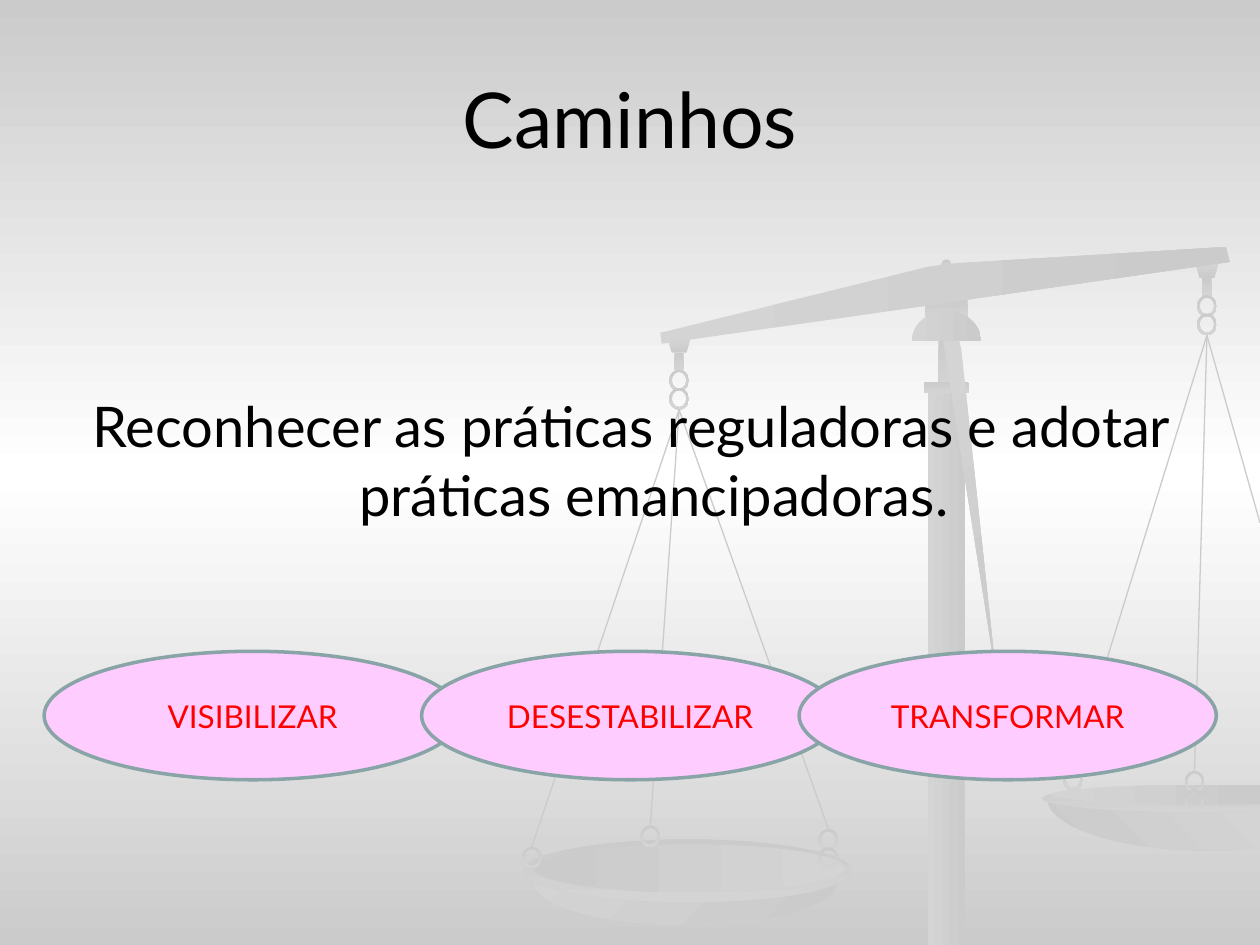
from copy import deepcopy
from math import cos, pi, sin

from lxml.etree import SubElement
from pptx import Presentation
from pptx.dml.color import RGBColor
from pptx.enum.shapes import MSO_CONNECTOR, MSO_SHAPE
from pptx.enum.text import MSO_ANCHOR, PP_ALIGN
from pptx.oxml.ns import qn
from pptx.util import Cm, Pt

BLACK = RGBColor(0x00, 0x00, 0x00)
WHITE = RGBColor(0xFF, 0xFF, 0xFF)
RED = RGBColor(0xFF, 0x00, 0x00)
PINK = RGBColor(0xFF, 0xCC, 0xFF)
SLATE = RGBColor(0x89, 0xA4, 0xA7)
DARK = RGBColor(0xCB, 0xCB, 0xCB)
LIGHT = RGBColor(0xD4, 0xD4, 0xD4)
FALLING = (DARK, LIGHT)
RISING = (LIGHT, DARK)

FONT = "Lato"
PAGE_WIDTH = 25.4
PAGE_HEIGHT = 19.05
POLE_X = 19.08
RING_WIDTH = 0.4
RING_HEIGHT = 0.44
RING_STEP = 0.37


def set_gradient(fill, colors, angle):
    """Fill with two colours, at an angle measured clockwise."""
    fill.gradient()
    fill.gradient_angle = (360 - angle) % 360
    for position, (stop, color) in enumerate(zip(fill.gradient_stops, colors)):
        stop.position = position
        stop.color.rgb = color


def paint_background(slide):
    """Shade the page from grey to white and back to grey."""
    fill = slide.background.fill
    set_gradient(fill, (DARK, WHITE), 90)
    stops = slide.element.find(".//" + qn("a:gsLst"))
    stops.append(deepcopy(stops[0]))
    for stop, position in zip(fill.gradient_stops, (0, 0.5, 1)):
        stop.position = position


def finish_metal(shape, colors, angle):
    """Give a part of the scales its shading, without line or shadow."""
    set_gradient(shape.fill, colors, angle)
    shape.line.fill.background()
    shape.shadow.inherit = False


def add_part(slide, kind, center, top, width, height, colors=FALLING, angle=90):
    """Add a preset shape centred on a vertical axis, in centimetres."""
    shape = slide.shapes.add_shape(
        kind, Cm(center - width / 2), Cm(top), Cm(width), Cm(height))
    finish_metal(shape, colors, angle)
    return shape


def add_outline(slide, points, colors=RISING, angle=0):
    """Add a closed outline through points in centimetres."""
    corners = [(Cm(x), Cm(y)) for x, y in points]
    builder = slide.shapes.build_freeform(*corners[0])
    builder.add_line_segments(corners[1:], close=True)
    finish_metal(builder.convert_to_shape(), colors, angle)


def trace_arc(center, radii, start, end, steps=40):
    """List points on an elliptical arc, cut at the right edge of the page."""
    angles = [start + (end - start) * step / steps for step in range(steps + 1)]
    return [(min(center[0] + radii[0] * cos(turn), PAGE_WIDTH),
             center[1] + radii[1] * sin(turn)) for turn in angles]


def add_chain(slide, center, top, count):
    """Hang a number of overlapping rings below a point."""
    for number in range(count):
        ring = add_part(slide, MSO_SHAPE.DONUT, center, top + number * RING_STEP,
                        RING_WIDTH, RING_HEIGHT)
        ring.adjustments[0] = 0.13


def add_cord(slide, start, end):
    """Stretch a thin cord between two points."""
    ends = [Cm(value) for value in (*start, *end)]
    cord = slide.shapes.add_connector(MSO_CONNECTOR.STRAIGHT, *ends)
    cord.line.color.rgb = DARK
    cord.line.width = Pt(0.75)
    SubElement(cord._element.spPr, qn("a:effectLst"))


def add_suspension(slide, center, top, cord_ends):
    """Hang a hook, its chain and its cords from one end of the beam."""
    hook = add_part(slide, MSO_SHAPE.TRAPEZOID, center, top, 0.45, 0.3)
    hook.rotation = 180
    add_part(slide, MSO_SHAPE.RECTANGLE, center, top + 0.3, 0.19, 0.36)
    add_chain(slide, center, top + 0.64, 2)
    for x, y, rings in cord_ends:
        add_cord(slide, (center, top + 1.45), (x, y))
        add_chain(slide, x, y, rings)


def add_left_pan(slide):
    """Draw the near pan as a bowl, a rim and a hollow."""
    add_part(slide, MSO_SHAPE.OVAL, 13.82, 16.92, 6.1, 1.73, RISING, 45)
    add_part(slide, MSO_SHAPE.OVAL, 13.87, 16.92, 6.63, 1.27)
    add_part(slide, MSO_SHAPE.OVAL, 13.9, 17.02, 6.27, 0.97, angle=0)


def add_right_pan(slide):
    """Draw the far pan, which the edge of the page cuts off."""
    center = (24.4, 16.1)
    bowl = trace_arc(center, (3.29, 1.05), 0, pi)
    rim = trace_arc(center, (3.39, 0.28), 0, 2 * pi)
    hollow = trace_arc((24.4, 16.02), (3.21, 0.2), 0, 2 * pi)
    add_outline(slide, bowl, FALLING, 315)
    add_outline(slide, rim, FALLING, 90)
    add_outline(slide, hollow)


def add_beam(slide):
    """Draw the tilted beam, thin at both ends and bent over the pole."""
    left_end = [(13.34, 6.93), (13.31, 6.71)]
    bend = [(18.72, 5.38), (19.28, 5.31)]
    right_end = [(24.71, 4.98), (24.79, 5.28)]
    add_outline(slide, left_end + bend + right_end)


def add_pole(slide):
    """Draw the pole with its collar, pointer and dome."""
    pole_top = 7.82
    add_part(slide, MSO_SHAPE.RECTANGLE, POLE_X, pole_top, 0.76,
             PAGE_HEIGHT - pole_top, RISING, 0)
    add_part(slide, MSO_SHAPE.RECTANGLE, POLE_X, 6.81, 0.33, 1.07)
    add_part(slide, MSO_SHAPE.ROUNDED_RECTANGLE, POLE_X, 7.7, 0.91, 0.23)
    pointer_tip = (20.09, 13.69)
    pointer_head = [(19.05, 7.11), (19.0, 6.81), (19.3, 6.73), (19.38, 7.04)]
    add_outline(slide, [pointer_tip, *pointer_head], angle=45)
    add_outline(slide, trace_arc((POLE_X, 6.88), (0.7, 0.61), pi, 2 * pi))


def add_scales(slide):
    """Assemble the pair of scales behind the text."""
    add_part(slide, MSO_SHAPE.RECTANGLE, POLE_X, 6.02, 0.86, 0.46)
    add_part(slide, MSO_SHAPE.OVAL, POLE_X, 5.23, 0.2, 0.2)
    add_left_pan(slide)
    add_right_pan(slide)
    add_suspension(slide, 13.69, 6.81, [
        (10.72, 17.07, 1), (13.11, 16.64, 1), (16.7, 16.71, 2)])
    add_suspension(slide, 24.33, 5.31, [
        (21.63, 15.5, 1), (24.08, 15.54, 2), (PAGE_WIDTH, 10.54, 0)])
    add_beam(slide)
    add_pole(slide)


def write_text(shape, text, size, color=BLACK, anchor=MSO_ANCHOR.MIDDLE):
    """Write one centred paragraph into a shape and return it."""
    frame = shape.text_frame
    frame.word_wrap = True
    frame.vertical_anchor = anchor
    para = frame.paragraphs[0]
    para.alignment = PP_ALIGN.CENTER
    para.line_spacing = 1.02
    span = para.add_run()
    span.text = text
    span.font.name = FONT
    span.font.size = Pt(size)
    span.font.color.rgb = color
    return para


def add_title(slide, text):
    """Place and format the title."""
    title = slide.shapes.title
    title.left, title.top = Cm(1.27), Cm(0.76)
    title.width, title.height = Cm(22.86), Cm(3.18)
    write_text(title, text, 44)


def add_statement(slide, text):
    """Add the main sentence with its hanging indent."""
    box = slide.shapes.add_textbox(Cm(1.27), Cm(7.75), Cm(22.86), Cm(3.1))
    para = write_text(box, text, 32, anchor=MSO_ANCHOR.TOP)
    properties = para._p.get_or_add_pPr()
    properties.set("marL", str(Cm(0.97)))
    properties.set("indent", str(-Cm(0.91)))


def add_step(slide, left, text):
    """Add one pink oval with its label."""
    oval = slide.shapes.add_shape(
        MSO_SHAPE.OVAL, left, Cm(13.13), Cm(8.41), Cm(2.59))
    oval.shadow.inherit = False
    oval.fill.solid()
    oval.fill.fore_color.rgb = PINK
    oval.line.color.rgb = SLATE
    oval.line.width = Pt(2)
    write_text(oval, text, 18, color=RED)


def main():
    """Build and save the slide."""
    deck = Presentation()
    deck.slide_width, deck.slide_height = Cm(PAGE_WIDTH), Cm(PAGE_HEIGHT)
    page = deck.slides.add_slide(deck.slide_layouts[5])
    paint_background(page)
    add_scales(page)
    add_title(page, "Caminhos")
    add_statement(page, "Reconhecer as práticas reguladoras e adotar práticas emancipadoras.")
    for number, step in enumerate(("VISIBILIZAR", "DESESTABILIZAR", "TRANSFORMAR")):
        add_step(page, Cm(0.89 + 7.61 * number), step)
    deck.save("out.pptx")


if __name__ == "__main__":
    main()
